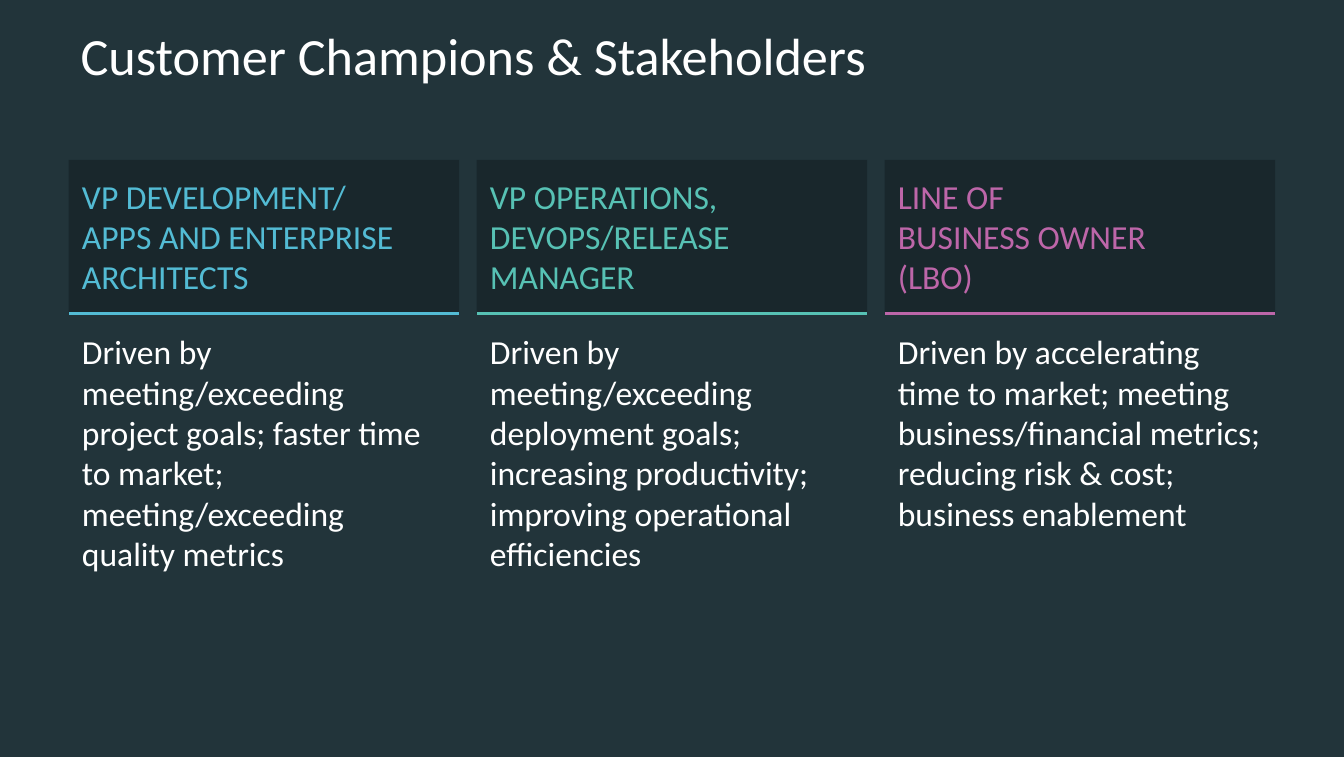
"""Build the customer champions and stakeholders slide."""
from dataclasses import dataclass

from lxml import etree
from pptx import Presentation
from pptx import util as u
from pptx.dml.color import RGBColor
from pptx.enum import shapes, text
from pptx.oxml import ns

HUES = {"back": "22343A", "panel": "19272C", "white": "FFFFFF",
        "blue": "53BBD4", "green": "57C1B4", "pink": "BD66A9"}
FONT = "Calibri"
LEFT, STEP, WIDTH = 1.3, 7.71, 7.38


@dataclass
class Role:
    """A stakeholder column."""
    name: str
    goal: str
    hue: str


ROLES = [
    Role("VP DEVELOPMENT/\nAPPS AND ENTERPRISE ARCHITECTS",
         "Driven by meeting/exceeding project goals; faster time to market; "
         "meeting/exceeding\nquality metrics", "blue"),
    Role("VP OPERATIONS,\nDEVOPS/RELEASE MANAGER",
         "Driven by meeting/exceeding deployment goals; increasing "
         "productivity; improving operational efficiencies", "green"),
    Role("LINE OF\nBUSINESS OWNER\n(LBO)",
         "Driven by accelerating time to market; meeting business/financial "
         "metrics; reducing risk & cost; business enablement", "pink"),
]


def tint(hue: str) -> RGBColor:
    """Return the named colour."""
    return RGBColor.from_string(HUES[hue])


def write(frame, words: str, size: int, hue: str) -> None:
    """Fill a text frame with one styled paragraph."""
    frame.word_wrap = True
    frame.vertical_anchor = text.MSO_ANCHOR.TOP
    para = frame.paragraphs[0]
    para.text = words
    para.alignment = text.PP_ALIGN.LEFT
    for run in para.runs:
        run.font.name = FONT
        run.font.size = u.Pt(size)
        run.font.color.rgb = tint(hue)


def add_text(slide, left: float, top: float, high: float,
             words: str, hue: str) -> None:
    """Add a column text box."""
    box = slide.shapes.add_textbox(u.Cm(left), u.Cm(top), u.Cm(WIDTH), u.Cm(high))
    write(box.text_frame, words, 18, hue)
    box.text_frame.auto_size = text.MSO_AUTO_SIZE.SHAPE_TO_FIT_TEXT


def add_panel(slide, left: float) -> None:
    """Add the dark panel behind a role name."""
    panel = slide.shapes.add_shape(shapes.MSO_SHAPE.RECTANGLE, u.Cm(left),
                                   u.Cm(3.02), u.Cm(WIDTH), u.Cm(2.9))
    panel.shadow.inherit = False
    panel.fill.solid()
    panel.fill.fore_color.rgb = tint("panel")
    panel.line.fill.background()


def add_rule(slide, left: float, hue: str) -> None:
    """Add the coloured line under a panel."""
    rule = slide.shapes.add_connector(shapes.MSO_CONNECTOR.STRAIGHT, u.Cm(left),
                                      u.Cm(5.92), u.Cm(left + WIDTH), u.Cm(5.92))
    rule.line.color.rgb = tint(hue)
    rule.line.width = u.Pt(2)
    etree.SubElement(rule.element.spPr, ns.qn("a:effectLst"))


def add_role(slide, left: float, role: Role) -> None:
    """Draw a whole stakeholder column."""
    add_panel(slide, left)
    add_rule(slide, left, role.hue)
    add_text(slide, left, 3.19, 2.57, role.name, role.hue)
    add_text(slide, left, 6.13, 4.11, role.goal, "white")


def main() -> None:
    """Build and save the deck."""
    deck = Presentation()
    deck.slide_width, deck.slide_height = u.Cm(25.4), u.Cm(14.3)
    slide = deck.slides.add_slide(deck.slide_layouts[5])
    slide.background.fill.solid()
    slide.background.fill.fore_color.rgb = tint("back")

    title = slide.shapes.title
    title.left, title.top = u.Cm(1.27), u.Cm(0.44)
    title.width, title.height = u.Cm(22.86), u.Cm(2.29)
    write(title.text_frame, "Customer Champions & Stakeholders", 28, "white")
    title.text_frame.paragraphs[0].line_spacing = 0.9

    for i, role in enumerate(ROLES):
        add_role(slide, LEFT + i * STEP, role)
    deck.save("out.pptx")


if __name__ == "__main__":
    main()
